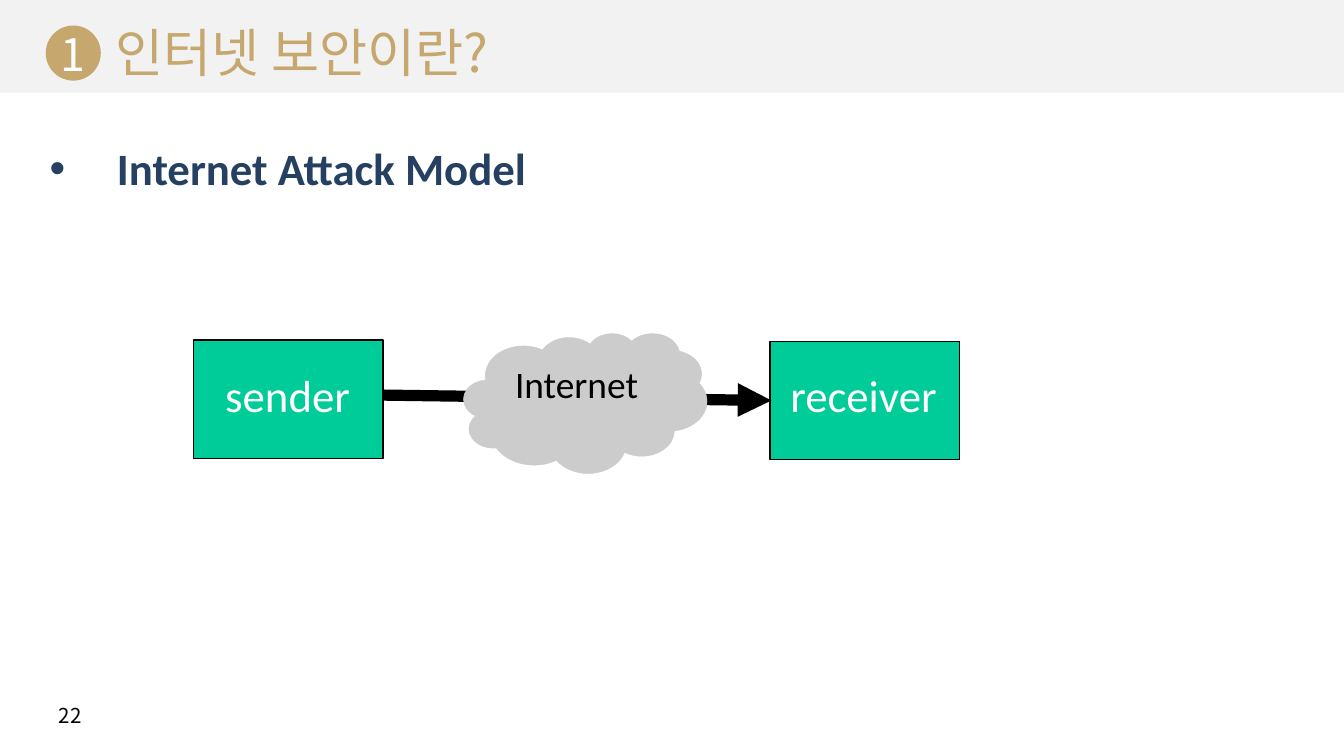
import pptx
import pptx.dml.color
import pptx.enum.shapes
import pptx.enum.text
import pptx.oxml
import pptx.oxml.ns
import pptx.util
from pptx.util import Inches

RGBColor = pptx.dml.color.RGBColor
MSO_SHAPE = pptx.enum.shapes.MSO_SHAPE
ALIGN = pptx.enum.text.PP_ALIGN
ANCHOR = pptx.enum.text.MSO_ANCHOR

GOLD = RGBColor(0xC6, 0xA8, 0x6F)
NAVY = RGBColor(0x25, 0x40, 0x61)
GREEN = RGBColor(0x00, 0xCC, 0x99)
CLOUD_GRAY = RGBColor(0xCC, 0xCC, 0xCC)
HEADER_GRAY = RGBColor(0xF2, 0xF2, 0xF2)
BLACK = RGBColor(0, 0, 0)
WHITE = RGBColor(0xFF, 0xFF, 0xFF)
LATIN = "Calibri"
KOREAN = "Noto Sans CJK KR"


def add_element(parent, tag, **attributes):
    element = pptx.oxml.parse_xml(f"<{tag} {pptx.oxml.ns.nsdecls('a')}/>")
    for name, value in attributes.items():
        element.set(name, value)
    parent.append(element)


def write(shape, text, size, color, font, align=ALIGN.LEFT, anchor=ANCHOR.TOP, bold=False):
    frame = shape.text_frame
    frame.text = text
    frame.word_wrap = True
    frame.auto_size = pptx.enum.text.MSO_AUTO_SIZE.NONE
    frame.vertical_anchor = anchor
    paragraph = frame.paragraphs[0]
    paragraph.alignment = align
    run = paragraph.runs[0]
    run.font.size = pptx.util.Pt(size)
    run.font.bold = bold
    run.font.name = font
    run.font.color.rgb = color
    add_element(run.font._element, "a:ea", typeface=font)
    return paragraph


def place(shape, left, top, width, height):
    shape.left, shape.top = Inches(left), Inches(top)
    shape.width, shape.height = Inches(width), Inches(height)


def add_filled_shape(slide, kind, left, top, width, height, fill, line=None, line_width=0.75):
    shape = slide.shapes.add_shape(
        kind, Inches(left), Inches(top), Inches(width), Inches(height))
    shape.shadow.inherit = False
    shape.fill.solid()
    shape.fill.fore_color.rgb = fill
    if line is None:
        shape.line.fill.background()
    else:
        shape.line.color.rgb = line
        shape.line.width = pptx.util.Pt(line_width)
    return shape


def add_label(slide, text, left, top, width, height):
    label = slide.shapes.add_textbox(
        Inches(left), Inches(top), Inches(width), Inches(height))
    write(label, text, 24, WHITE, LATIN, ALIGN.CENTER)
    label.text_frame.word_wrap = False


def add_header(slide, left, top, number, title):
    badge_size = 0.41
    badge = add_filled_shape(
        slide, MSO_SHAPE.OVAL, left, top + 0.1, badge_size, badge_size, GOLD)
    write(badge, number, 24, WHITE, KOREAN, ALIGN.CENTER, ANCHOR.MIDDLE)
    frame = badge.text_frame
    frame.margin_left = frame.margin_right = frame.margin_top = frame.margin_bottom = 0
    place(slide.shapes.title, left + 0.42, top, 8.97, 0.58)
    write(slide.shapes.title, title, 28, GOLD, KOREAN, anchor=ANCHOR.BOTTOM)


def add_bullet(slide, left, top, width, height, text):
    body = slide.placeholders[1]
    place(body, left, top, width, height)
    paragraph = write(body, text, 24, NAVY, LATIN, bold=True)
    paragraph.space_before = pptx.util.Pt(6)
    properties = paragraph._p.get_or_add_pPr()
    properties.set("marL", str(Inches(0.5)))
    properties.set("indent", str(-Inches(0.5)))
    add_element(properties, "a:buFont", typeface="Arial")
    add_element(properties, "a:buChar", char="•")


def add_attack_model(slide, left, top):
    """Draw sender, arrow and receiver, with the network cloud over the arrow."""
    box_width, box_height = 1.41, 0.88
    receiver_left = left + 4.29
    for text, box_left, box_top, label_left, label_width in (
            ("sender", left, top + 0.05, left + 0.13, 1.14),
            ("receiver", receiver_left, top + 0.06, receiver_left + 0.04, 1.31)):
        add_filled_shape(slide, MSO_SHAPE.RECTANGLE, box_left, box_top,
                         box_width, box_height, GREEN, BLACK)
        add_label(slide, text, label_left, top + 0.21, label_width, 0.5)

    arrow = slide.shapes.add_connector(
        pptx.enum.shapes.MSO_CONNECTOR.STRAIGHT,
        Inches(left + box_width), Inches(top + 0.46),
        Inches(receiver_left + 0.01), Inches(top + 0.5))
    arrow.line.color.rgb = BLACK
    arrow.line.width = pptx.util.Pt(6)
    add_element(arrow.line._get_or_add_ln(), "a:tailEnd", type="triangle")
    add_element(arrow._element.spPr, "a:effectLst")

    cloud = add_filled_shape(slide, MSO_SHAPE.CLOUD, left + 2.01, top, 1.81, 1.04,
                             CLOUD_GRAY, CLOUD_GRAY, 0.25)
    write(cloud, "Internet", 20, BLACK, LATIN, ALIGN.CENTER)


def add_page_number(slide, left, top, number):
    box = slide.shapes.add_textbox(
        Inches(left), Inches(top), Inches(2.25), Inches(0.3))
    write(box, number, 11, BLACK, KOREAN)


def main():
    presentation = pptx.Presentation()
    presentation.slide_width = Inches(10)
    presentation.slide_height = presentation.slide_width * 9 // 16
    slide = presentation.slides.add_slide(presentation.slide_layouts[1])
    slide.background.fill.solid()
    slide.background.fill.fore_color.rgb = HEADER_GRAY
    panel = add_filled_shape(slide, MSO_SHAPE.RECTANGLE, 0, 0.69, 10, 4.94, WHITE)
    slide.shapes._spTree.insert(2, panel._element)

    add_header(slide, 0.34, 0.09, "1", "인터넷 보안이란?")
    add_bullet(slide, 0.27, 1, 9.45, 4.17, "Internet Attack Model")
    add_attack_model(slide, 1.44, 2.48)
    add_page_number(slide, 0.34, 5.18, "22")
    presentation.save("out.pptx")


if __name__ == "__main__":
    main()
